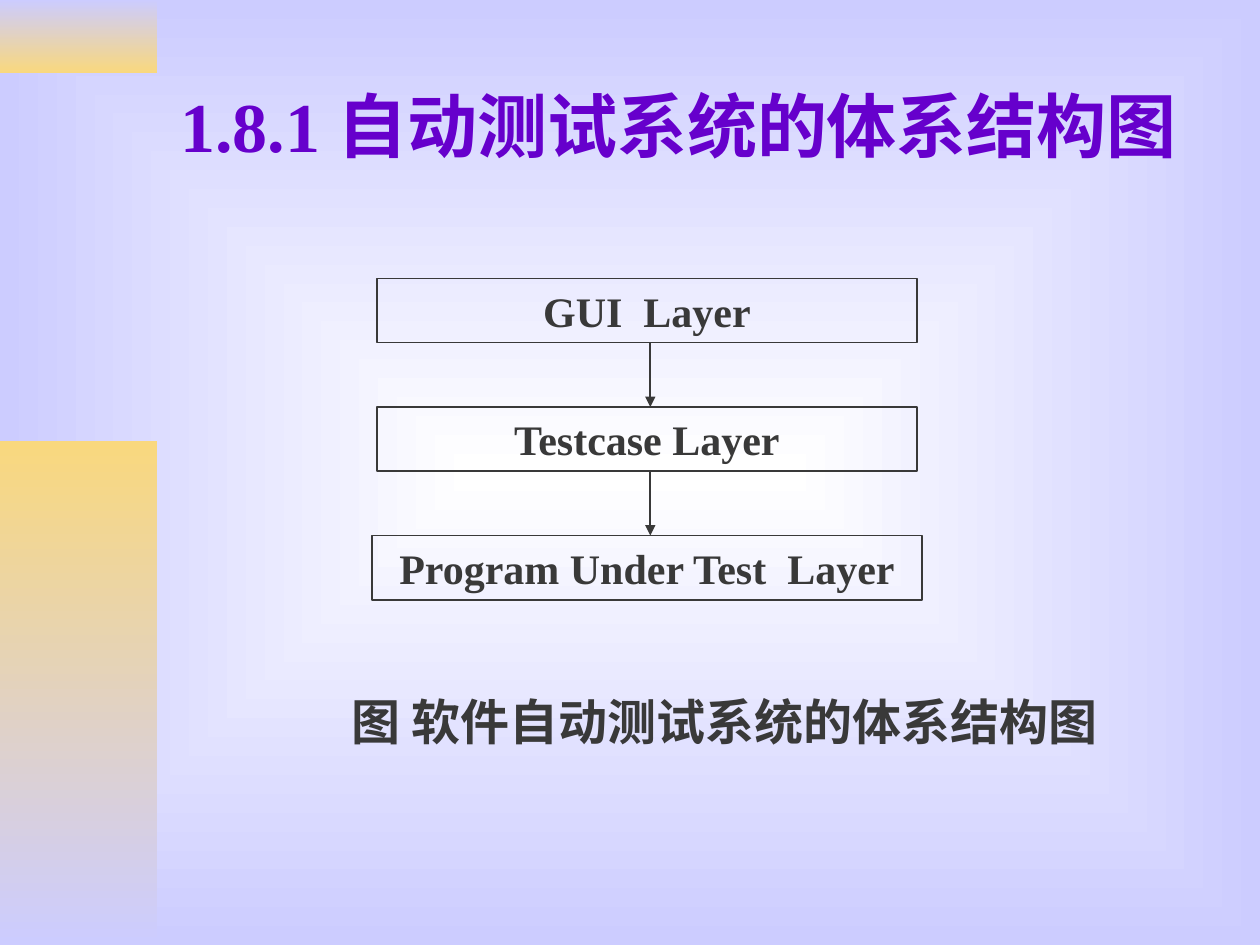
from lxml import etree
from pptx import Presentation
from pptx.dml.color import RGBColor
from pptx.enum.shapes import MSO_CONNECTOR, MSO_SHAPE
from pptx.enum.text import MSO_ANCHOR, PP_ALIGN
from pptx.oxml.ns import qn
from pptx.util import Inches, Pt

RECTANGLE = MSO_SHAPE.RECTANGLE
STRAIGHT = MSO_CONNECTOR.STRAIGHT
LEFT, CENTER = PP_ALIGN.LEFT, PP_ALIGN.CENTER
TOP, MIDDLE = MSO_ANCHOR.TOP, MSO_ANCHOR.MIDDLE

WIDTH, HEIGHT = Inches(10), Inches(7.5)
TITLE_ONLY = 5
FONT = "Times New Roman"
LAVENDER, GOLD, WHITE = "CCCCFF", "F9D87E", "FFFFFF"
PURPLE, CHARCOAL = "6600CC", "393939"


def color(value):
    return RGBColor.from_string(value)


def box(left, top, width, height):
    return Inches(left), Inches(top), Inches(width), Inches(height)


def set_gradient(fill, start, end):
    fill.gradient()
    for stop, value, position in zip(fill.gradient_stops, (start, end), (0, 1)):
        stop.color.rgb = color(value)
        stop.position = position


def set_text(shape, text, size, value, alignment, anchor, wrap=True):
    frame = shape.text_frame
    frame.text = text
    frame.word_wrap = wrap
    frame.vertical_anchor = anchor
    paragraph = frame.paragraphs[0]
    paragraph.alignment = alignment
    font = paragraph.runs[0].font
    font.name, font.size, font.bold = FONT, Pt(size), True
    font.color.rgb = color(value)


def add_background(slide):
    """Fill the slide with a gradient that spreads from its centre."""
    set_gradient(slide.background.fill, WHITE, LAVENDER)
    gradient = slide.element.find(".//" + qn("a:gradFill"))
    gradient.remove(gradient.find(qn("a:lin")))
    path = etree.SubElement(gradient, qn("a:path"), path="rect")
    middle = dict.fromkeys("ltrb", "50000")
    etree.SubElement(path, qn("a:fillToRect"), middle)


def add_side_band(slide, area, start, end):
    band = slide.shapes.add_shape(RECTANGLE, *area)
    band.shadow.inherit = False
    band.line.fill.background()
    set_gradient(band.fill, start, end)
    band.fill.gradient_angle = 270


def add_title(slide, area, text):
    title = slide.shapes.title
    title.left, title.top, title.width, title.height = area
    set_text(title, text, 40, PURPLE, LEFT, MIDDLE)


def add_caption(slide, area, text):
    caption = slide.shapes.add_textbox(*area)
    set_text(caption, text, 28, CHARCOAL, CENTER, TOP)


def add_layer(slide, area, text):
    layer = slide.shapes.add_shape(RECTANGLE, *area)
    layer.shadow.inherit = False
    layer.fill.background()
    layer.line.color.rgb = color(CHARCOAL)
    layer.line.width = Pt(1)
    set_text(layer, text, 24, CHARCOAL, CENTER, MIDDLE, wrap=False)


def add_arrow(slide, x, start, end):
    arrow = slide.shapes.add_connector(STRAIGHT, x, start, x, end)
    arrow.line.color.rgb = color(CHARCOAL)
    arrow.line.width = Pt(1)
    etree.SubElement(arrow.line._get_or_add_ln(), qn("a:tailEnd"), type="triangle")
    etree.SubElement(arrow._element.spPr, qn("a:effectLst"))


def add_layer_stack(slide, area, layers):
    """Stack layers of (name, share of width), joined by arrows."""
    left, top, width, height = area
    # Each gap is about as tall as a layer
    row = height / (2 * len(layers) - 1)
    arrow_x = int(left + width * 0.506)
    for index, (name, share) in enumerate(layers):
        layer_top = int(top + 2 * index * row)
        layer_width = int(width * share)
        layer_left = int(left + (width - layer_width) / 2)
        add_layer(slide, (layer_left, layer_top, layer_width, int(row)), name)
        if index:
            add_arrow(slide, arrow_x, int(layer_top - row), layer_top)


def main():
    presentation = Presentation()
    presentation.slide_width, presentation.slide_height = WIDTH, HEIGHT
    slide = presentation.slides.add_slide(presentation.slide_layouts[TITLE_ONLY])
    add_background(slide)
    add_side_band(slide, box(0, 0, 1.25, 0.58), LAVENDER, GOLD)
    add_side_band(slide, box(0, 3.5, 1.25, 4), GOLD, LAVENDER)
    add_title(slide, box(1.33, 0.33, 8.5, 1.32), "1.8.1 自动测试系统的体系结构图")
    add_caption(slide, box(1.5, 5.44, 8.5, 0.59), "图 软件自动测试系统的体系结构图")
    layers = [
        ("GUI  Layer", 0.98),
        ("Testcase Layer", 0.98),
        ("Program Under Test  Layer", 1),
    ]
    add_layer_stack(slide, box(2.95, 2.21, 4.37, 2.55), layers)
    presentation.save("out.pptx")


if __name__ == "__main__":
    main()
